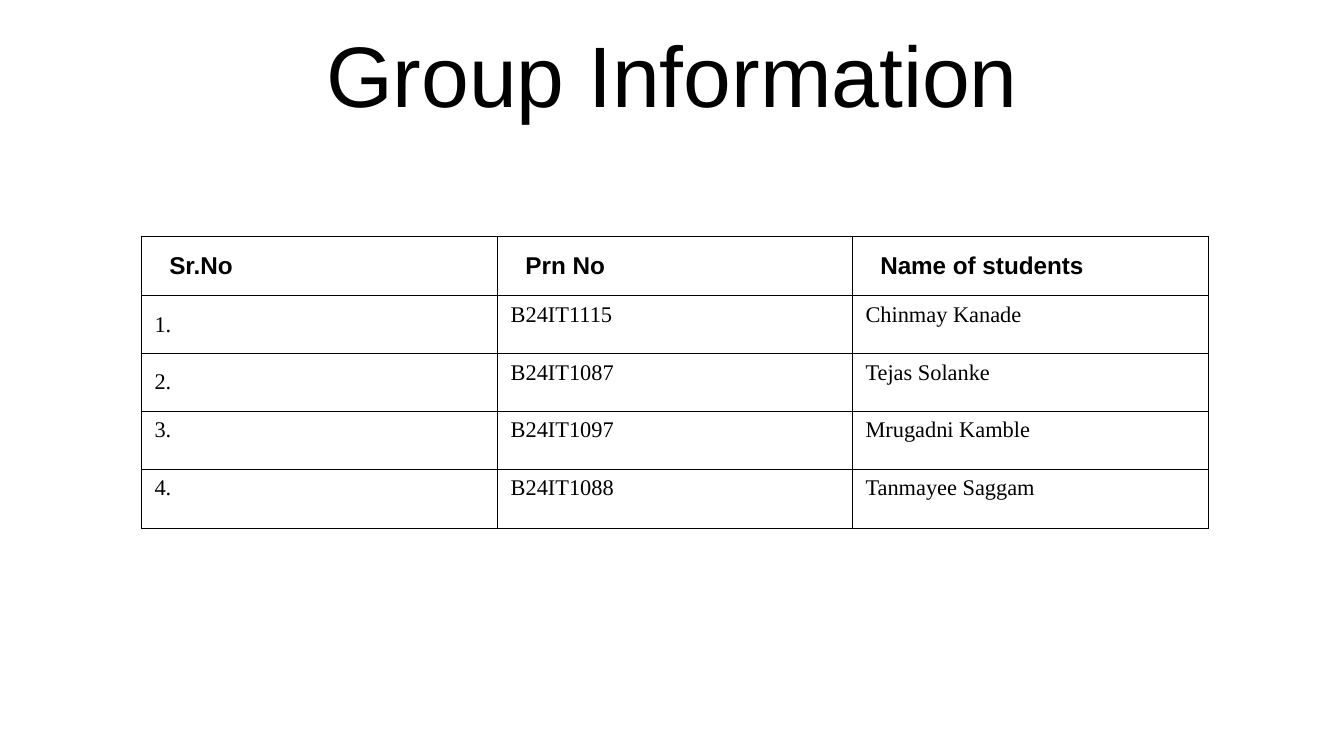
from lxml.etree import SubElement as Sub
from pptx import Presentation
from pptx.dml.color import RGBColor as RGB
from pptx.enum.text import MSO_ANCHOR as Anchor, PP_ALIGN as Align
from pptx.oxml.ns import qn
from pptx.util import Inches, Pt

BLACK = RGB(0, 0, 0)
WHITE = RGB(255, 255, 255)
EDGE = Pt(0.45)
ROWS = [
    ("Sr.No", "Prn No", "Name of students"),
    ("1.", "B24IT1115", "Chinmay Kanade"),
    ("2.", "B24IT1087", "Tejas Solanke"),
    ("3.", "B24IT1097", "Mrugadni Kamble"),
    ("4.", "B24IT1088", "Tanmayee Saggam"),
]
COLS = (2.65, 2.64, 2.65)
HIGHS = (0.44, 0.43, 0.43, 0.43, 0.44)


def add_run(para, text, font, size, bold=False):
    run = para.add_run()
    run.text = text
    run.font.name = font
    run.font.size = Pt(size)
    run.font.bold = bold
    run.font.color.rgb = BLACK


def add_edges(cell):
    props = cell._tc.get_or_add_tcPr()
    for i, side in enumerate(("lnL", "lnR", "lnT", "lnB")):
        line = props.makeelement(qn(f"a:{side}"), {"w": str(EDGE)})
        fill = Sub(line, qn("a:solidFill"))
        Sub(fill, qn("a:srgbClr"), val=str(BLACK))
        props.insert(i, line)


# Slide, 16 to 9
deck = Presentation()
deck.slide_width = Inches(10)
deck.slide_height = deck.slide_width * 9 // 16
slide = deck.slides.add_slide(deck.slide_layouts[5])
slide.background.fill.solid()
slide.background.fill.fore_color.rgb = WHITE

# Title
title = slide.shapes.title
title.left, title.top = Inches(2.42), Inches(0.16)
title.width, title.height = Inches(5.16), Inches(0.64)
frame = title.text_frame
frame.word_wrap = False
frame.vertical_anchor = Anchor.TOP
frame.margin_left = frame.margin_right = 0
frame.margin_top = frame.margin_bottom = 0
para = frame.paragraphs[0]
para.alignment = Align.CENTER
add_run(para, "Group Information", "Arial", 46)

# Student table
table = slide.shapes.add_table(
    len(ROWS), len(COLS), Inches(1.05), Inches(1.76),
    Inches(sum(COLS)), Inches(sum(HIGHS))).table
table.first_row = table.horz_banding = False
for col, wide in zip(table.columns, COLS):
    col.width = Inches(wide)

for r, (row, high) in enumerate(zip(ROWS, HIGHS)):
    table.rows[r].height = Inches(high)
    for c, text in enumerate(row):
        cell = table.cell(r, c)
        cell.fill.background()
        add_edges(cell)
        # The header and the first two numbers sit mid-row
        mid = r == 0 or (c == 0 and r < 3)
        cell.vertical_anchor = Anchor.MIDDLE if mid else Anchor.TOP
        para = cell.text_frame.paragraphs[0]
        if r == 0:
            para._p.get_or_add_pPr().set("marL", str(Inches(0.11)))
            add_run(para, text, "Arial", 13, True)
        else:
            add_run(para, text, "Times New Roman", 12)

deck.save("out.pptx")
